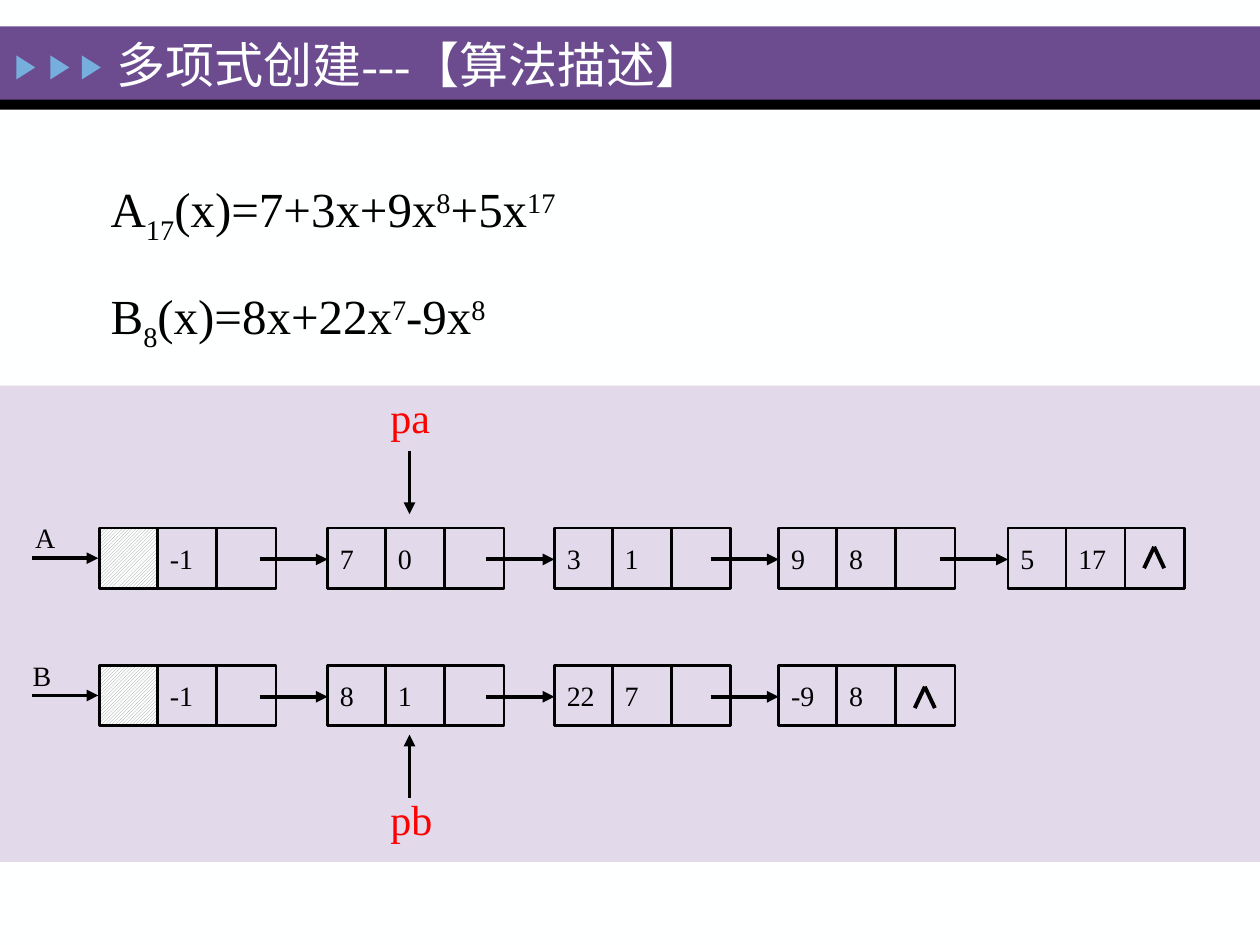
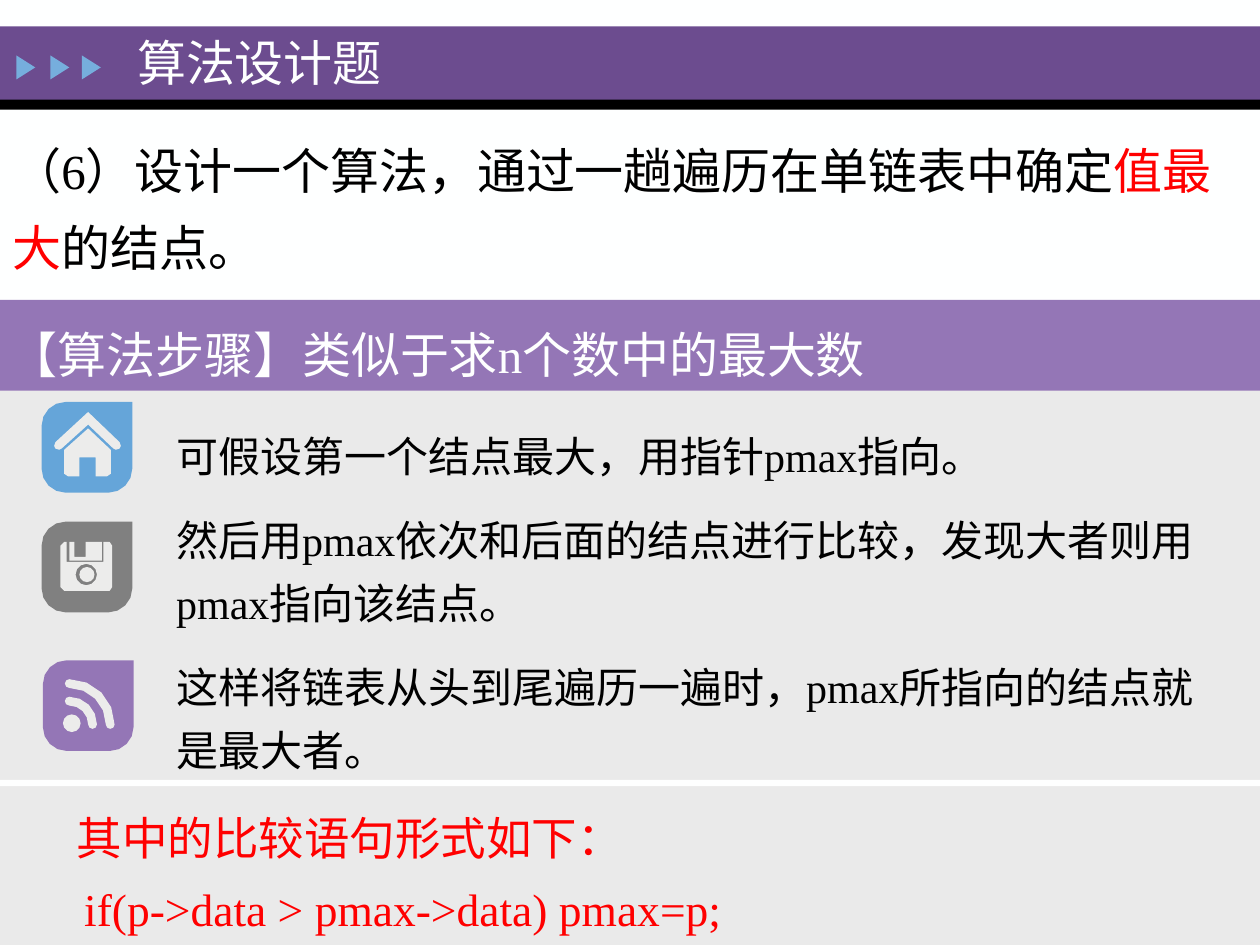
import math
from dataclasses import dataclass
from typing import NamedTuple

import lxml.etree
import pptx
import pptx.dml.color
import pptx.enum.dml
import pptx.enum.lang
import pptx.enum.shapes
import pptx.enum.text
import pptx.oxml.ns
import pptx.util

PX = 9144  # 100 px to the inch
FONT = "Times New Roman"
COLORS = {
    "paper": "FEFFFF", "ink": "000000", "red": "FF0000", "band": "6C4C8F",
    "marker": "76AEDD", "diagram": "E2D9EB", "hatch": "969696", "panel": "EAEAEA",
    "violet": "9476B6", "blue": "65A5D9", "gray": "808080", "glyph": "ECECEB",
}
SHAPES = pptx.enum.shapes.MSO_SHAPE
MIDDLE = pptx.enum.text.MSO_ANCHOR.MIDDLE
Points = list[tuple[float, float]]


class Box(NamedTuple):
    x: int
    y: int
    w: int
    h: int


class Run(NamedTuple):
    text: str
    color: str = "ink"
    baseline: int = 0


@dataclass
class Para:
    runs: list[Run]
    size: int
    line: float | None = None
    gap: int | None = None
    percent_before: int = 0
    indent: int = 0


class Node(NamedTuple):
    x: int
    coef: str
    exp: str


@dataclass
class LinkedList:
    name: str
    label: Box
    top: int
    caret_top: int
    nodes: list[Node]


LISTS = [
    LinkedList("A", Box(18, 408, 36, 37), 419, 434, [
        Node(79, "", "-1"), Node(260, "7", "0"), Node(440, "3", "1"),
        Node(618, "9", "8"), Node(800, "5", "17")]),
    LinkedList("B", Box(16, 518, 35, 37), 528, 545, [
        Node(79, "", "-1"), Node(260, "8", "1"), Node(440, "22", "7"),
        Node(618, "-9", "8")]),
]


def rgb(name: str):
    return pptx.dml.color.RGBColor.from_string(COLORS[name])


def emu(*lengths: float) -> list[int]:
    return [round(v * PX) for v in lengths]


def write(sp, paras: list[Para], anchor=None, wrap: bool = True, grow: bool = False) -> None:
    tf = sp.text_frame
    tf.word_wrap = wrap
    if anchor is not None:
        tf.vertical_anchor = anchor
    if grow:
        tf.auto_size = pptx.enum.text.MSO_AUTO_SIZE.SHAPE_TO_FIT_TEXT
    for i, para in enumerate(paras):
        p = tf.add_paragraph() if i else tf.paragraphs[0]
        p.alignment = pptx.enum.text.PP_ALIGN.LEFT
        if para.line:
            p.line_spacing = para.line
        if para.gap is not None:
            p.space_before = p.space_after = pptx.util.Pt(para.gap)
        ppr = p._p.get_or_add_pPr()
        if para.percent_before:
            before = lxml.etree.SubElement(ppr, pptx.oxml.ns.qn("a:spcBef"))
            lxml.etree.SubElement(before, pptx.oxml.ns.qn("a:spcPct"),
                                  val=str(para.percent_before * 1000))
        if para.indent:
            ppr.set("marL", str(para.indent * PX))
            ppr.set("indent", "0")
        for run in para.runs:
            r = p.add_run()
            r.text = run.text
            r.font.name = FONT
            r.font.size = pptx.util.Pt(para.size)
            r.font.color.rgb = rgb(run.color)
            r.font.language_id = pptx.enum.lang.MSO_LANGUAGE_ID.SIMPLIFIED_CHINESE
            if run.baseline:
                r._r.get_or_add_rPr().set("baseline", str(run.baseline * 1000))


def text_box(s, box: Box, paras: list[Para], **options) -> None:
    write(s.shapes.add_textbox(*emu(*box)), paras, **options)


def shape(s, box: Box, fill: str | None, kind=SHAPES.RECTANGLE, outline: bool = False):
    sp = s.shapes.add_shape(kind, *emu(*box))
    sp.shadow.inherit = False
    if fill:
        sp.fill.solid()
        sp.fill.fore_color.rgb = rgb(fill)
    else:
        sp.fill.background()
    if outline:
        sp.line.color.rgb = rgb("ink")
        sp.line.width = pptx.util.Pt(1.5)
    else:
        sp.line.fill.background()
    return sp


def outline_shape(s, fill: str, *contours: Points) -> None:
    """Fill the first contour; the following ones are holes in it."""
    start, *rest = [[emu(*pt) for pt in contour] for contour in contours]
    fb = s.shapes.build_freeform(*start[0])
    fb.add_line_segments(start[1:])
    for hole in rest:
        fb.move_to(*hole[0])
        fb.add_line_segments(hole[1:])
    sp = fb.convert_to_shape()
    sp.shadow.inherit = False
    sp.fill.solid()
    sp.fill.fore_color.rgb = rgb(fill)
    sp.line.fill.background()


def line(s, x1: int, y1: int, x2: int, y2: int, arrow: bool = True) -> None:
    c = s.shapes.add_connector(pptx.enum.shapes.MSO_CONNECTOR.STRAIGHT, *emu(x1, y1, x2, y2))
    c.line.color.rgb = rgb("ink")
    c.line.width = pptx.util.Pt(2.25)
    if arrow:
        lxml.etree.SubElement(c.line._get_or_add_ln(), pptx.oxml.ns.qn("a:tailEnd"),
                              type="triangle")
    lxml.etree.SubElement(c._element.spPr, pptx.oxml.ns.qn("a:effectLst"))


def arc(cx: float, cy: float, radius: float, start: int, end: int, steps: int = 4) -> Points:
    angles = [math.radians(start + (end - start) * i / steps) for i in range(steps + 1)]
    return [(cx + radius * math.cos(a), cy + radius * math.sin(a)) for a in angles]


def dress_master(prs, s) -> None:
    """Draw the shared bands and markers on a still empty slide and move them to the master."""
    master = prs.slide_master
    master.background.fill.solid()
    master.background.fill.fore_color.rgb = rgb("paper")
    parts = [shape(s, Box(0, 21, 1000, 59), "band"), shape(s, Box(0, 79, 1000, 8), "ink")]
    for x in (11, 38, 63):
        marker = shape(s, Box(x, 46, 19, 15), "marker", SHAPES.ISOSCELES_TRIANGLE)
        marker.rotation = 90
        parts.append(marker)
    for sp in parts:
        master.shapes._spTree.append(sp._element)


def add_title(s, title: str, box: Box) -> None:
    text_box(s, box, [Para([Run(title, "paper")], 28)], anchor=MIDDLE)


def label(s, box: Box, text: str, size: int, color: str = "ink") -> None:
    text_box(s, box, [Para([Run(text, color)], size, percent_before=20)], wrap=False, grow=True)


def draw_node(s, node: Node, top: int) -> None:
    for dx, width, text in ((0, 46, node.coef), (46, 47, node.exp), (93, 47, "")):
        sp = shape(s, Box(node.x + dx, top, width, 48), None, outline=True)
        if text:
            write(sp, [Para([Run(text)], 16, percent_before=20)], MIDDLE, wrap=False)
        elif dx == 0:
            sp.fill.patterned()
            sp.fill.pattern = pptx.enum.dml.MSO_PATTERN.DARK_UPWARD_DIAGONAL
            sp.fill.fore_color.rgb = rgb("hatch")
            sp.fill.back_color.rgb = rgb("paper")


def draw_list(s, chain: LinkedList) -> None:
    for node in chain.nodes:
        draw_node(s, node, chain.top)
    apex = chain.nodes[-1].x + 116
    for dx in (-8, 8):
        line(s, apex, chain.caret_top, apex + dx, chain.caret_top + 17, arrow=False)
    line(s, 25, chain.top + 24, 78, chain.top + 24)
    for node in chain.nodes[1:]:
        line(s, node.x - 54, chain.top + 25, node.x, chain.top + 25)
    label(s, chain.label, chain.name, 16)


def fill_polynomial_slide(s) -> None:
    shape(s, Box(0, 306, 1000, 378), "diagram")
    formulas = {
        137: [("A", 0), ("17", -25), ("(x)=7+3x+9x", 0), ("8", 30), ("+5x", 0), ("17", 30)],
        222: [("B", 0), ("8", -25), ("(x)=8x+22x", 0), ("7", 30), ("-9x", 0), ("8", 30)],
    }
    for y, parts in formulas.items():
        runs = [Run(text, baseline=shift) for text, shift in parts]
        text_box(s, Box(78, y, 443, 57), [Para(runs, 28, percent_before=20)], grow=True)
    for chain in LISTS:
        draw_list(s, chain)
    line(s, 325, 358, 325, 408)
    label(s, Box(300, 306, 52, 51), "pa", 24, "red")
    line(s, 325, 633, 325, 583)
    label(s, Box(300, 625, 54, 51), "pb", 24, "red")
    add_title(s, "多项式创建---【算法描述】", Box(83, 18, 789, 66))


def tile(s, x: int, y: int, fill: str) -> None:
    """Rounded square with a sharp top right corner."""
    size, r = 72, 19
    right, bottom = x + size, y + size
    outline_shape(s, fill, [(right, y)] + arc(right - r, bottom - r, r, 0, 90)
                  + arc(x + r, bottom - r, r, 90, 180) + arc(x + r, y + r, r, 180, 270))


def home_icon(s) -> None:
    tile(s, 33, 319, "blue")
    outline_shape(s, "glyph", [(95, 351), (70, 327), (44, 351), (43, 354), (44, 356), (47, 357),
                               (49, 356), (70, 337), (90, 356), (92, 357), (95, 356), (96, 354)])
    outline_shape(s, "glyph", [(51, 357), (51, 376), (54, 378), (63, 378), (63, 363), (76, 363),
                               (76, 378), (85, 378), (88, 376), (88, 357), (70, 340)])


def disk_icon(s) -> None:
    tile(s, 33, 414, "gray")
    outline_shape(s, "glyph", [(81, 430), (68, 430), (68, 442), (59, 442), (59, 430),
                               (55, 430), (55, 445), (81, 445)])
    outline_shape(s, "glyph", [(87, 430), (82, 430), (82, 446), (53, 446), (53, 430), (51, 430),
                               (48, 433), (48, 466), (51, 469), (87, 469), (89, 466), (89, 433)],
                  arc(68.5, 456, 8.5, 0, 360, 12))
    shape(s, Box(63, 450, 12, 12), "glyph", SHAPES.OVAL)


def signal_icon(s) -> None:
    tile(s, 34, 524, "violet")
    shape(s, Box(50, 567, 14, 14), "glyph", SHAPES.OVAL)
    cx, cy, half = 55, 575, 3.5
    for mid in (18.5, 32.5):
        outline_shape(s, "glyph", arc(cx, cy, mid + half, -90, 0)
                      + arc(cx + mid, cy, half, 0, 180)[1:-1]
                      + arc(cx, cy, mid - half, 0, -90)
                      + arc(cx, cy - mid, half, 90, 270)[1:-1])


def fill_max_node_slide(s) -> None:
    shape(s, Box(-3, 304, 1005, 446), "panel")
    question = [Run("（6）设计一个算法，通过一趟遍历在单链表中确定"), Run("值最大", "red"), Run("的结点。")]
    text_box(s, Box(0, 92, 1000, 133), [Para(question, 28, 1.3)], anchor=MIDDLE, grow=True)
    steps = [
        "可假设第一个结点最大，用指针pmax指向。",
        "然后用pmax依次和后面的结点进行比较，发现大者则用pmax指向该结点。",
        "这样将链表从头到尾遍历一遍时，pmax所指向的结点就是最大者。",
    ]
    text_box(s, Box(130, 328, 850, 291), [Para([Run(t)], 24, 1.25, 6) for t in steps],
             anchor=MIDDLE, grow=True)
    add_title(s, "算法设计题", Box(99, 21, 371, 57))
    heading = shape(s, Box(-3, 238, 1005, 72), "violet")
    write(heading, [Para([Run("【算法步骤】类似于求n个数中的最大数", "paper")], 28, 1.3)],
          MIDDLE, grow=True)
    home_icon(s)
    disk_icon(s)
    signal_icon(s)
    comparison = [("其中的比较语句形式如下：", 48), ("if(p->data > pmax->data) pmax=p;", 54)]
    text_box(s, Box(3, 627, 1000, 118),
             [Para([Run(t, "red")], 26, 1.3, indent=indent) for t, indent in comparison],
             anchor=MIDDLE, grow=True)
    shape(s, Box(-3, 619, 1005, 5), "paper")


def main() -> None:
    prs = pptx.Presentation()
    prs.slide_width, prs.slide_height = emu(1000, 750)
    blank = prs.slide_layouts[6]
    polynomial, max_node = [prs.slides.add_slide(blank) for _ in range(2)]
    dress_master(prs, polynomial)
    fill_polynomial_slide(polynomial)
    fill_max_node_slide(max_node)
    prs.save("out.pptx")


if __name__ == "__main__":
    main()
